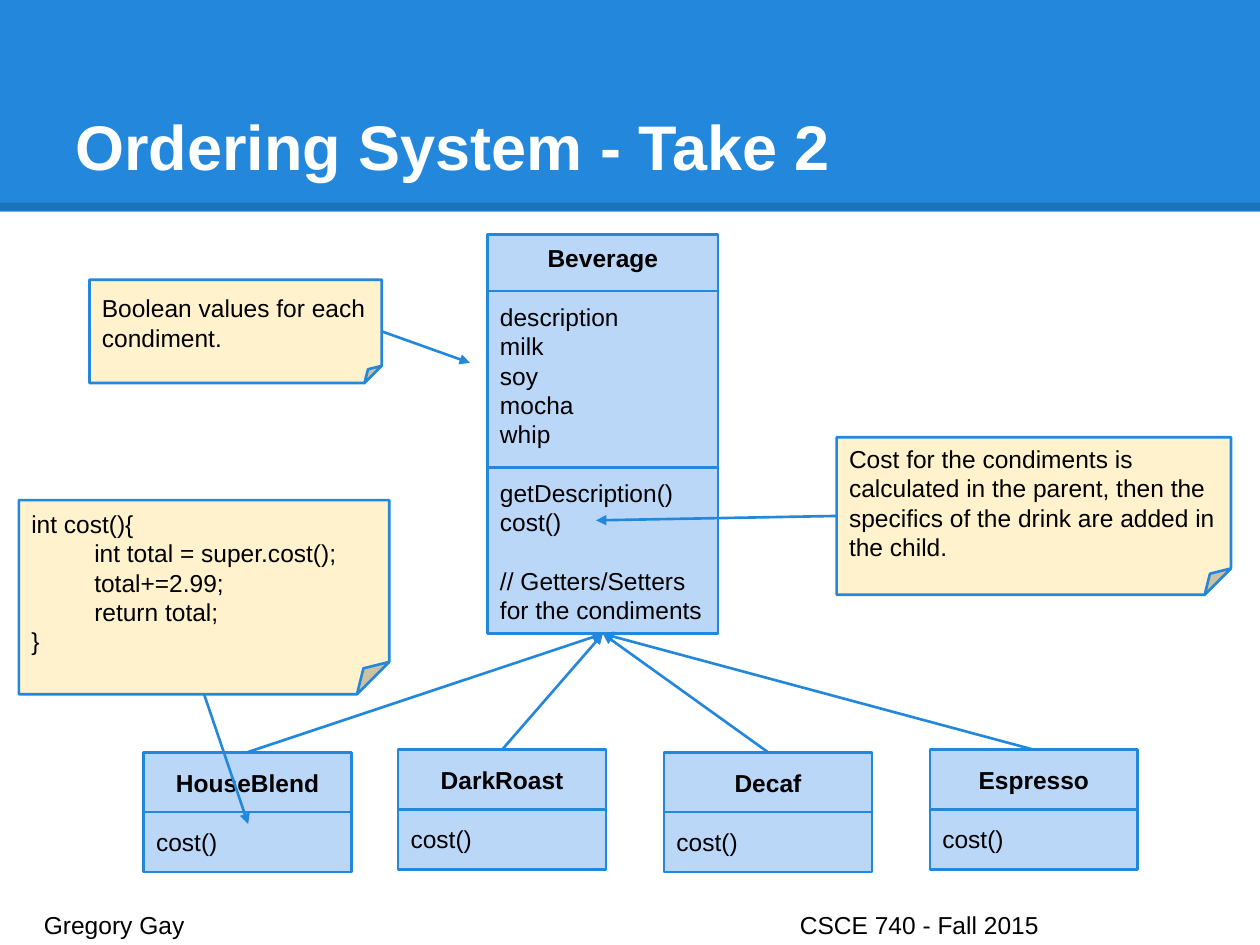
import pptx
import pptx.util
import pptx.dml.color
import pptx.enum.shapes
import pptx.enum.text
import pptx.oxml.ns
from lxml import etree
from pptx.util import Inches

BLUE, PALE, CREAM = "2388DB", "BBD7F8", "FFF2CC"
LINE = pptx.util.Pt(16.75)  # height of one 14 pt line
SHAPE = pptx.enum.shapes.MSO_SHAPE
ANCHOR = pptx.enum.text.MSO_ANCHOR
ALIGN = pptx.enum.text.PP_ALIGN
TOP, LEFT, BOTTOM, RIGHT = range(4)
qn = pptx.oxml.ns.qn


def color(hex_value):
    return pptx.dml.color.RGBColor.from_string(hex_value)


def add_line(start, end, arrow=False, width=1.5, line_color=BLUE):
    """Each end is an (x, y) point in inches or a (shape, side) pair."""
    c = s.shapes.add_connector(pptx.enum.shapes.MSO_CONNECTOR.STRAIGHT, 0, 0, 0, 0)
    if isinstance(start[0], (int, float)):
        c.begin_x, c.begin_y = Inches(start[0]), Inches(start[1])
    else:
        c.begin_connect(*start)
    if isinstance(end[0], (int, float)):
        c.end_x, c.end_y = Inches(end[0]), Inches(end[1])
    else:
        c.end_connect(*end)
    c.line.width = pptx.util.Pt(width)
    c.line.color.rgb = color(line_color)
    etree.SubElement(c._element.spPr, qn("a:effectLst"))
    if arrow:
        ln = c._element.spPr.find(qn("a:ln"))
        etree.SubElement(ln, qn("a:tailEnd")).set("type", "triangle")
    return c


def add_box(kind, box, fill, lines, class_box=False):
    """Outlined box; a line given as (text, True) has one line of space above it."""
    sp = s.shapes.add_shape(kind, *map(Inches, box))
    sp.shadow.inherit = False
    sp.fill.solid()
    sp.fill.fore_color.rgb = color(fill)
    sp.line.color.rgb = color(BLUE)
    sp.line.width = pptx.util.Pt(1.5)
    tf = sp.text_frame
    tf.word_wrap = True
    tf.vertical_anchor = ANCHOR.MIDDLE
    tf.margin_left = tf.margin_right = tf.margin_top = tf.margin_bottom = Inches(0.1)
    for i, (text, gap) in enumerate(lines):
        p = tf.paragraphs[0] if i == 0 else tf.add_paragraph()
        p.text = text
        heading = class_box and i == 0
        p.alignment = ALIGN.CENTER if heading else ALIGN.LEFT
        p.line_spacing = LINE
        if gap:
            p.space_before = LINE
        for r in p.runs:
            r.font.name = "Arial"
            r.font.size = pptx.util.Pt(14)
            r.font.bold = heading
            r.font.color.rgb = color("000000")
    return sp


prs = pptx.Presentation()
prs.slide_width, prs.slide_height = Inches(10), Inches(7.5)
s = prs.slides.add_slide(prs.slide_layouts[6])

# Title band with a translucent dark edge
band = s.shapes.add_shape(SHAPE.RECTANGLE, 0, 0, Inches(10), Inches(1.68))
band.shadow.inherit = False
band.fill.solid()
band.fill.fore_color.rgb = color(BLUE)
band.line.fill.background()
edge = add_line((0, 1.64), (10, 1.64), width=4.5, line_color="000000")
rgb = edge._element.spPr.find(".//" + qn("a:srgbClr"))
etree.SubElement(rgb, qn("a:alpha")).set("val", "15000")

# Title and footer
for text, box, size, ink, anchor in [
    ("Ordering System - Take 2", (0.5, 0.3, 9, 1.25), 36, "FFFFFF", ANCHOR.BOTTOM),
    ("Gregory Gay\tCSCE 740 - Fall 2015", (0.25, 7.12, 9.5, 0.3), 14, "000000", ANCHOR.TOP),
]:
    tf = s.shapes.add_textbox(*map(Inches, box)).text_frame
    tf.word_wrap = True
    tf.vertical_anchor = anchor
    tf.margin_left = tf.margin_right = tf.margin_top = tf.margin_bottom = Inches(0.1)
    p = tf.paragraphs[0]
    p.text = text
    if "\t" in text:
        tabs = etree.SubElement(p._p.get_or_add_pPr(), qn("a:tabLst"))
        tab = etree.SubElement(tabs, qn("a:tab"))
        tab.set("pos", str(Inches(6)))
        tab.set("algn", "l")
    for r in p.runs:
        r.font.name = "Arial"
        r.font.size = pptx.util.Pt(size)
        r.font.bold = size == 36
        r.font.color.rgb = color(ink)

# Parent class with its dividers
beverage = add_box(SHAPE.RECTANGLE, (3.87, 1.86, 1.83, 3.17), PALE, [
    ("Beverage", False),
    ("description", True), ("milk", False), ("soy", False),
    ("mocha", False), ("whip", False),
    ("getDescription()", True), ("cost()", False),
    ("// Getters/Setters for the condiments", True),
], class_box=True)
for y in (2.31, 3.71):
    add_line((3.87, y), (5.7, y))

# Child classes, each divided at mid-height and pointing to the parent
for name, x, y in [("HouseBlend", 1.14, 5.97), ("DarkRoast", 3.16, 5.95),
                   ("Decaf", 5.27, 5.97), ("Espresso", 7.38, 5.95)]:
    child = add_box(SHAPE.RECTANGLE, (x, y, 1.65, 0.95), PALE,
                    [(name, False), ("cost()", True)], class_box=True)
    add_line((child, LEFT), (child, RIGHT))
    add_line((child, TOP), (beverage, BOTTOM), arrow=True)

# Notes, each with an arrow to what it explains
code = ["int cost(){", "\tint total = super.cost();", "\ttotal+=2.99;",
        "\treturn total;", "}"]
for box, lines, side, target in [
    ((0.71, 2.22, 2.32, 0.82), ["Boolean values for each condiment."], RIGHT, (3.73, 2.88)),
    ((6.64, 3.47, 3.13, 1.25),
     ["Cost for the condiments is calculated in the parent, then the specifics "
      "of the drink are added in the child."], LEFT, (4.73, 4.13)),
    ((0.15, 3.97, 2.94, 1.54), code, BOTTOM, (1.97, 6.54)),
]:
    note = add_box(SHAPE.FOLDED_CORNER, box, CREAM, [(t, False) for t in lines])
    if lines is code:
        note.text_frame.vertical_anchor = ANCHOR.TOP
        note.text_frame.margin_top = Inches(0.07)
        note.text_frame.margin_bottom = 0
    add_line((note, side), target, arrow=True)

prs.save("out.pptx")
